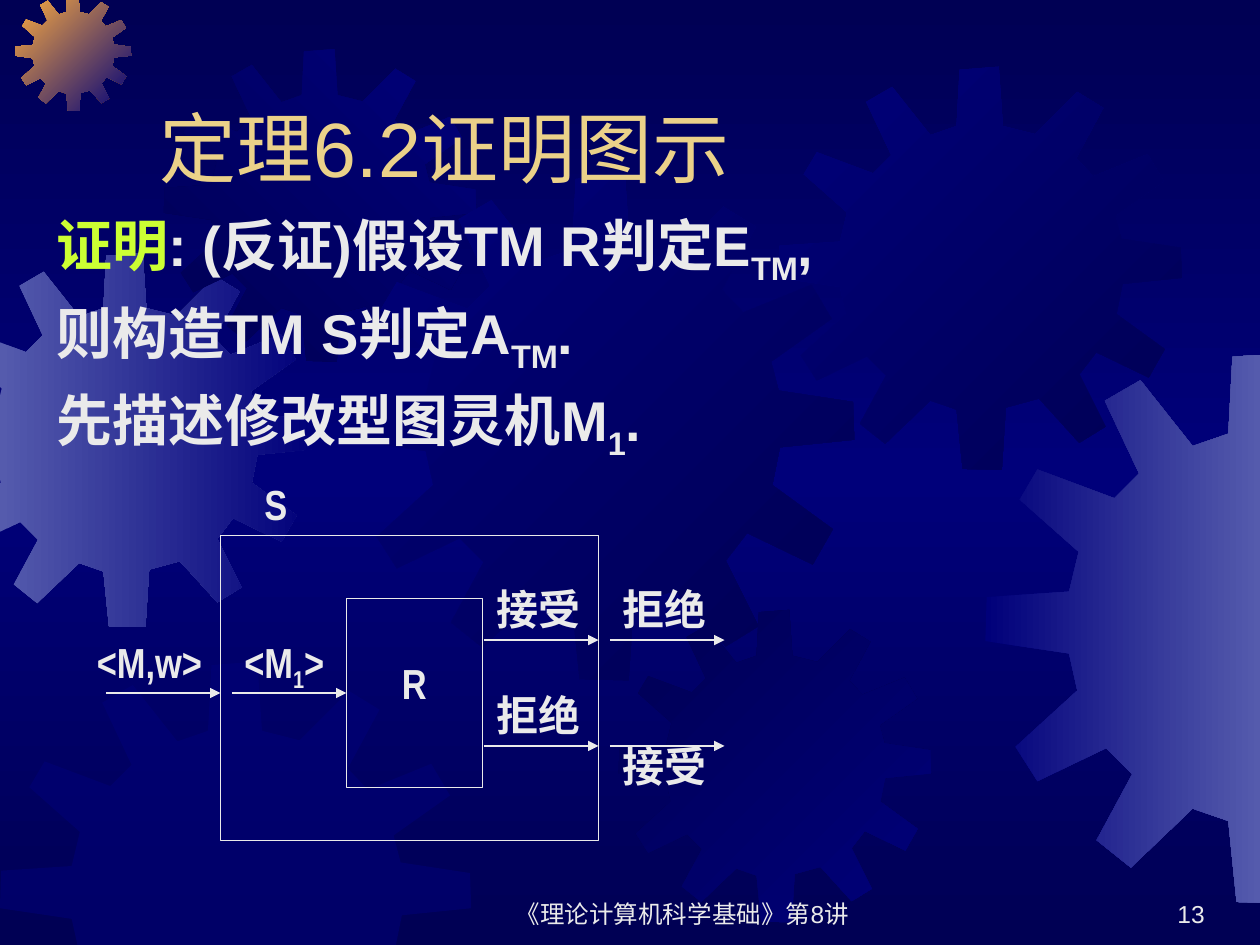
from lxml import etree
from copy import deepcopy
from pptx import Presentation
from pptx.dml.color import RGBColor
from pptx.enum.shapes import MSO_CONNECTOR, MSO_SHAPE
from pptx.enum.text import MSO_ANCHOR, PP_ALIGN
from pptx.oxml.ns import qn
from pptx.util import Emu, Pt

PX = 9144  # one px is a hundredth of an inch
WIDTH, HEIGHT = 1000, 750
COLORS = {
    "night": "000054", "navy": "00007A", "haze": "555BAD", "orange": "FCAB40",
    "title": "EBD189", "text": "EAEAEA", "accent": "CCFF33",
}

# Twelve-tooth outline in a square of GEAR_SIZE
GEAR_SIZE = 401
GEAR = [
    (255, 67), (223, 59), (219, 0), (180, 3), (177, 59), (151, 68), (113, 20), (87, 35),
    (112, 88), (94, 106), (38, 85), (25, 107), (68, 145), (61, 174), (1, 178), (0, 210),
    (61, 219), (67, 246), (22, 287), (38, 312), (88, 288), (107, 307), (81, 355), (106, 375),
    (151, 332), (177, 341), (183, 400), (222, 401), (226, 339), (259, 330), (299, 374), (325, 358),
    (299, 306), (316, 284), (368, 309), (384, 281), (336, 246), (342, 216), (401, 210), (400, 180),
    (341, 171), (335, 148), (383, 114), (367, 87), (313, 109), (296, 91), (323, 41), (297, 25),
]
# left, top, size, first colour, last colour, clockwise angle
GEARS = [
    (-49, 201, 297, "haze", "navy", 0),
    (12, -4, 92, "orange", "navy", 45),
    (130, 39, 248, "night", "navy", 315),
    (277, 139, 401, "navy", "night", 45),
    (0, 525, 374, "navy", None, 0),
    (491, 484, 248, "night", "navy", 45),
    (618, 53, 320, "navy", "night", 45),
    (782, 280, 437, "navy", "haze", 0),
]


def px(n):
    return Emu(round(n * PX))


def color(name):
    return RGBColor.from_string(COLORS[name])


def set_gradient(fill, first, last, angle):
    fill.gradient()
    fill.gradient_angle = (360 - angle) % 360
    for stop, name, pos in zip(fill.gradient_stops, (first, last), (0, 1)):
        stop.color.rgb = color(name)
        stop.position = pos


def add_background(slide):
    fill = slide.background.fill
    set_gradient(fill, "night", "navy", 90)
    fill.gradient_stops[1].position = 0.5
    # Third stop: back to the first colour
    stops = next(slide._element.iter(qn("a:gsLst")))
    end = deepcopy(stops[0])
    end.set("pos", "100000")
    stops.append(end)


def clip(points, axis, limit, sign):
    """Keep the part of a polygon where sign * (coordinate - limit) >= 0."""
    kept = []
    for a, b in zip(points, points[1:] + points[:1]):
        da, db = (sign * (q[axis] - limit) for q in (a, b))
        if da >= 0:
            kept.append(a)
        if da * db < 0:
            t = da / (da - db)
            kept.append(tuple(u + t * (v - u) for u, v in zip(a, b)))
    return kept


def add_gear(slide, left, top, size, first, last, angle):
    k = size / GEAR_SIZE
    points = [(left + x * k, top + y * k) for x, y in GEAR]
    for axis, limit, sign in ((0, 0, 1), (1, 0, 1), (0, WIDTH, -1), (1, HEIGHT, -1)):
        points = clip(points, axis, limit, sign)
    points = [(px(x), px(y)) for x, y in points]
    builder = slide.shapes.build_freeform(*points[0])
    builder.add_line_segments(points[1:], close=True)
    sp = builder.convert_to_shape()
    sp.shadow.inherit = False
    sp.line.fill.background()
    if last:
        set_gradient(sp.fill, first, last, angle)
    else:
        # Half-transparent plain gear
        sp.fill.solid()
        sp.fill.fore_color.rgb = color(first)
        rgb = next(sp._element.spPr.iter(qn("a:srgbClr")))
        etree.SubElement(rgb, qn("a:alpha")).set("val", "50000")


def add_text(slide, box, lines, size, font="Arial", bold=False, name="text",
             align=PP_ALIGN.LEFT, anchor=MSO_ANCHOR.TOP, before=0):
    """Each line is a list of runs: a string, or (string, "sub" or colour name)."""
    tf = slide.shapes.add_textbox(*map(px, box)).text_frame
    tf.word_wrap = True
    tf.vertical_anchor = anchor
    for i, line in enumerate(lines):
        p = tf.paragraphs[0] if i == 0 else tf.add_paragraph()
        p.alignment = align
        p.space_before = Pt(before if i else 0)
        for part in line:
            text, mark = (part, None) if isinstance(part, str) else part
            r = p.add_run()
            r.text = text
            r.font.size = Pt(size)
            r.font.name = font
            r.font.bold = bold
            r.font.color.rgb = color(mark if mark in COLORS else name)
            if mark == "sub":
                r._r.get_or_add_rPr().set("baseline", "-25000")


def add_box(slide, left, top, width, height):
    sp = slide.shapes.add_shape(MSO_SHAPE.RECTANGLE, *map(px, (left, top, width, height)))
    sp.shadow.inherit = False
    sp.fill.background()
    sp.line.color.rgb = color("text")
    sp.line.width = Pt(0.75)


def add_arrow(slide, left, top, length):
    cx = slide.shapes.add_connector(
        MSO_CONNECTOR.STRAIGHT, px(left), px(top), px(left + length), px(top))
    cx.line.color.rgb = color("text")
    cx.line.width = Pt(0.75)
    etree.SubElement(cx.line._get_or_add_ln(), qn("a:tailEnd")).set("type", "triangle")
    etree.SubElement(cx._element.spPr, qn("a:effectLst"))


def add_diagram(slide, left, top):
    # Machine S with machine R inside
    add_box(slide, left + 108, top + 50, 300, 242)
    add_box(slide, left + 208, top + 100, 108, 150)
    # Inputs, then the two outputs of R and of S
    for x, y in ((17, 175), (117, 175), (317, 133), (417, 133), (317, 217), (417, 217)):
        add_arrow(slide, left + x, top + y, 91)
    labels = [
        (133, 0, ["S"]),
        (0, 125, ["<M,w>"]),
        (117, 125, ["<M", ("1", "sub"), ">"]),
        (242, 142, ["R"]),
        (317, 83, ["接受"]),
        (417, 83, ["拒绝"]),
        (317, 167, ["拒绝"]),
        (417, 208, ["接受"]),
    ]
    for x, y, runs in labels:
        add_text(slide, (left + x, top + y, 108, 50), [runs], 24, "Arial Narrow", bold=True)


def add_footer(slide, top):
    add_text(slide, (383, top, 317, 50), [["《理论计算机科学基础》第8讲"]], 14,
             align=PP_ALIGN.CENTER, anchor=MSO_ANCHOR.BOTTOM)
    add_text(slide, (758, top, 208, 50), [["13"]], 14,
             align=PP_ALIGN.RIGHT, anchor=MSO_ANCHOR.BOTTOM)


def main():
    prs = Presentation()
    prs.slide_width, prs.slide_height = px(WIDTH), px(HEIGHT)
    slide = prs.slides.add_slide(prs.slide_layouts[6])

    # Backdrop
    add_background(slide)
    for gear in GEARS:
        add_gear(slide, *gear)

    # Title and proof
    add_text(slide, (117, 33, 850, 125), [["定理6.2证明图示"]], 44,
             name="title", anchor=MSO_ANCHOR.BOTTOM)
    add_text(slide, (35, 162, 844, 211), [
        [("证明", "accent"), ": (反证)假设TM R判定E", ("TM", "sub"), ","],
        ["则构造TM S判定A", ("TM", "sub"), "."],
        ["先描述修改型图灵机M", ("1", "sub"), "."],
    ], 32, bold=True, before=6.4)

    add_diagram(slide, 67, 375)
    add_footer(slide, 692)
    prs.save("out.pptx")


if __name__ == "__main__":
    main()
